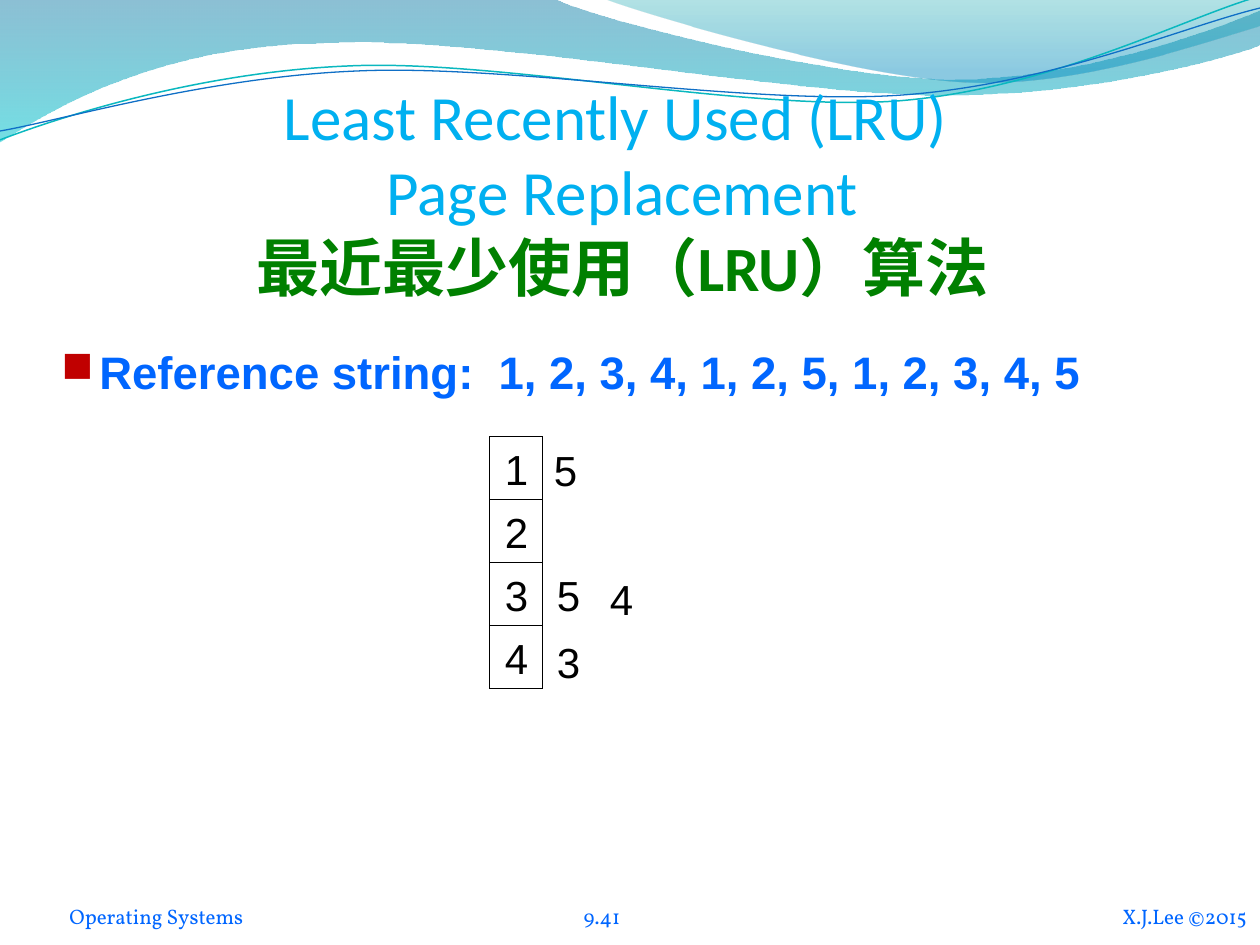
from math import cos, radians, sin

from lxml.etree import SubElement
from pptx import Presentation
from pptx.dml.color import RGBColor
from pptx.enum.shapes import MSO_SHAPE as SHAPE
from pptx.enum.text import MSO_ANCHOR as ANCHOR, PP_ALIGN as ALIGN
from pptx.oxml.ns import qn
from pptx.util import Emu, Pt

SCALE = 914400 / 126  # EMU in one px
TILT = 2.7  # degrees the wave lines lean to the left

# Content
TITLE = [("Least Recently Used (LRU) ", "00B0F0", False),
         ("Page Replacement", "00B0F0", False),
         ("最近最少使用（LRU）算法", "008000", True)]
REFERENCE = "Reference string:  1, 2, 3, 4, 1, 2, 5, 1, 2, 3, 4, 5"
FRAMES = ["1", "2", "3", "4"]
REPLACEMENTS = [("5", 541, 438), ("4", 597, 567), ("3", 544, 630), ("5", 544, 563)]
FOOTER = [("Operating Systems", (30, 880, 253, 49), ALIGN.CENTER),
          ("X.J.Lee ©2015", (1061, 895, 186, 34), ALIGN.RIGHT),
          ("9.41", (565, 889, 74, 40), ALIGN.CENTER)]

# Header waves: start point, then line ends (1 point) or Bezier curves (3 points)
WAVES = [
    ([[(0, 0)], [(554, -1)],
      [(600, 21), (837, 79), (955, 79)], [(1075, 79), (1207, 33), (1260, 11)],
      [(1261, 45)],
      [(1237, 55), (1096, 96), (940, 95)], [(784, 95), (481, 35), (324, 43)],
      [(163, 45), (58, 105), (-1, 142)]],
     [(0, "0074A1", 45), (100, "00C6CF", 55)]),
    ([[(604, -1)],
      [(641, 14), (859, 78), (969, 82)], [(1079, 87), (1211, 40), (1260, 26)],
      [(1260, 0)]],
     [(0, "00A1A9", 30), (80, "008BBF", 45)]),
]
# Path as it lies on the slide, centre of rotation, colour, width
WAVE_LINES = [
    ([[(0, 140)], [(60, 117), (199, 72), (349, 66)],
      [(498, 59), (747, 112), (898, 101)], [(1050, 89), (1182, 19), (1257, -3)]],
     (629, 72), "0AB8BF", 0.85),
    ([[(0, 131)], [(59, 121), (207, 77), (357, 71)],
      [(508, 64), (752, 106), (903, 95)], [(1053, 84), (1185, 26), (1260, 8)]],
     (629, 74), "0F6FC6", 0.75),
]


def px(n):
    return Emu(round(n * SCALE))


def rgb(color):
    return RGBColor.from_string(color)


def turn(point, center):
    """Undo the tilt of a point, so that the shape's rotation restores it."""
    a = radians(TILT)
    dx, dy = point[0] - center[0], point[1] - center[1]
    return (center[0] + dx * cos(a) - dy * sin(a),
            center[1] + dx * sin(a) + dy * cos(a))


def add_wave(path, close):
    points = [(px(x), px(y)) for segment in path for x, y in segment]
    builder = shapes.build_freeform(*points[0])
    builder.add_line_segments(points[1:], close=close)
    sp = builder.convert_to_shape()
    sp.shadow.inherit = False
    # Join each three control points into one Bezier curve
    steps = iter(list(sp._element.iter(qn("a:lnTo"))))
    for segment in path[1:]:
        parts = [next(steps) for _ in segment]
        if len(parts) == 3:
            parts[0].tag = qn("a:cubicBezTo")
            for part in parts[1:]:
                parts[0].append(part[0])
                part.getparent().remove(part)
    return sp


def fill_gradient(sp, stops):
    """Top-to-bottom gradient with an opacity for each stop."""
    sp.fill.gradient()
    grad = sp._element.spPr.find(qn("a:gradFill"))
    for child in list(grad):
        grad.remove(child)
    stop_list = SubElement(grad, qn("a:gsLst"))
    for position, color, opacity in stops:
        gs = SubElement(stop_list, qn("a:gs"), pos=str(position * 1000))
        clr = SubElement(gs, qn("a:srgbClr"), val=color)
        SubElement(clr, qn("a:alpha"), val=str(opacity * 1000))
    SubElement(grad, qn("a:lin"), ang="5400000", scaled="0")


def add_run(p, text, size, font, color, bold=False):
    r = p.add_run()
    r.text = text
    r.font.size, r.font.name, r.font.bold = Pt(size), font, bold
    r.font.color.rgb = rgb(color)


def set_frame(sp, anchor, align, wrap=True, inset=None):
    tf = sp.text_frame
    tf.word_wrap, tf.vertical_anchor = wrap, anchor
    if inset is not None:
        tf.margin_left = tf.margin_right = tf.margin_top = tf.margin_bottom = px(inset)
    p = tf.paragraphs[0]
    p.alignment = align
    return p


def add_text(box, *frame):
    return set_frame(shapes.add_textbox(*map(px, box)), *frame)


prs = Presentation()
prs.slide_width, prs.slide_height = px(1260), px(945)
shapes = prs.slides.add_slide(prs.slide_layouts[6]).shapes

# Header
for path, stops in WAVES:
    sp = add_wave(path, True)
    fill_gradient(sp, stops)
    sp.line.fill.background()
for path, center, color, width in WAVE_LINES:
    sp = add_wave([[turn(pt, center) for pt in seg] for seg in path], False)
    sp.rotation = 360 - TILT
    sp.fill.background()
    sp.line.color.rgb = rgb(color)
    sp.line.width = Pt(width)

# Title
p = add_text((37, 65, 1171, 239), ANCHOR.BOTTOM, ALIGN.CENTER, True, 0)
for i, (text, color, bold) in enumerate(TITLE):
    if i:
        p.add_line_break()
    add_run(p, text, 36, "Calibri", color, bold)

# Reference string with a square bullet
p = add_text((49, 344, 1145, 84), ANCHOR.TOP, ALIGN.LEFT)
p.line_spacing, p.space_before = 0.9, Pt(6)
pPr = p._p.get_or_add_pPr()
pPr.set("marL", str(px(38)))
pPr.set("indent", str(px(-38)))
SubElement(SubElement(pPr, qn("a:buClr")), qn("a:srgbClr"), val="C00000")
SubElement(pPr, qn("a:buSzPct"), val="95000")
SubElement(pPr, qn("a:buFont"), typeface="Wingdings", charset="2")
SubElement(pPr, qn("a:buChar"), char="n")
add_run(p, REFERENCE, 26, "Arial", "0066FF", True)

# Memory frames, with the default hairline
for i, page in enumerate(FRAMES):
    sp = shapes.add_shape(SHAPE.RECTANGLE, *map(px, (490, 437 + 63 * i, 53, 63)))
    sp._element.remove(sp._element.find(qn("p:style")))
    sp.fill.solid()
    sp.fill.fore_color.rgb = rgb("FFFFFF")
    sp.line.color.rgb = rgb("000000")
    p = set_frame(sp, ANCHOR.MIDDLE, ALIGN.CENTER, False)
    add_run(p, page, 24, "Arial", "000000")

# Pages that replace the ones in the frames
for page, x, y in REPLACEMENTS:
    p = add_text((x, y, 49, 64), ANCHOR.MIDDLE, ALIGN.CENTER, False)
    add_run(p, page, 24, "Arial", "000000")

# Footer
for text, box, align in FOOTER:
    p = add_text(box, ANCHOR.BOTTOM, align, True, 0)
    add_run(p, text, 12, "Vollkorn", "0066FF")

prs.save("out.pptx")
